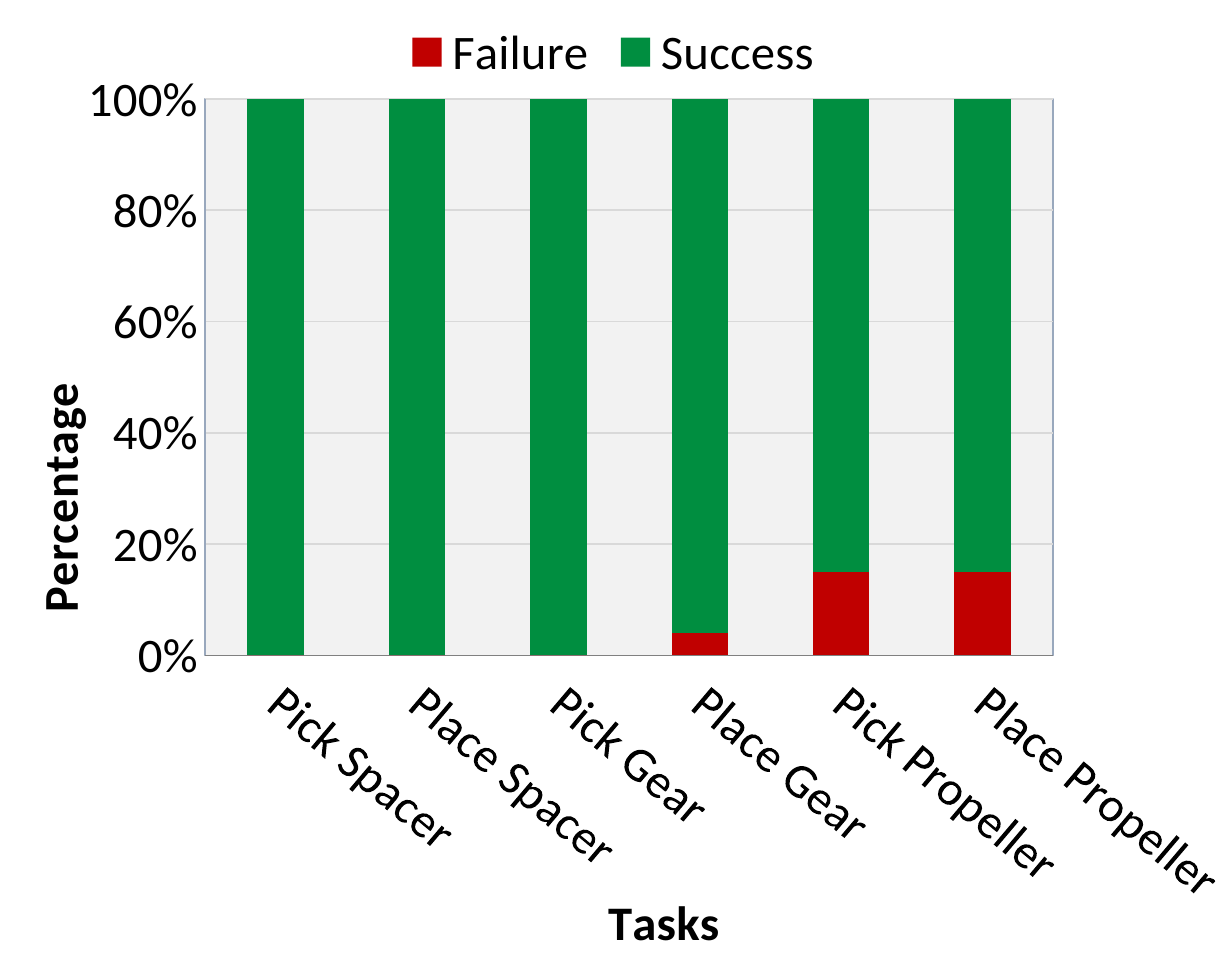
from lxml import etree
from pptx import Presentation
from pptx.chart.data import CategoryChartData as Data
from pptx.dml.color import RGBColor as RGB
from pptx.enum.chart import XL_CHART_TYPE as Kind, XL_LEGEND_POSITION as Spot
from pptx.enum.chart import XL_TICK_LABEL_POSITION as Label, XL_TICK_MARK as Tick
from pptx.oxml import parse_xml
from pptx.oxml.ns import nsdecls, qn
from pptx.util import Inches, Pt

HUES = {
    "text": "000000", "base": "808080", "edge": "99A8BD", "grid": "D9D9D9",
    "plot": "F2F2F2", "Failure": "C00000", "Success": "008E40",
}
WIDE, HIGH = 7, 5.5


def place(node, slot, x, y, w=None, h=None):
    for old in node.findall(qn("c:layout")):
        node.remove(old)
    lay = etree.Element(qn("c:layout"))
    box = etree.SubElement(lay, qn("c:manualLayout"))
    parts = [("xMode", "edge"), ("yMode", "edge"), ("x", x / WIDE), ("y", y / HIGH)]
    if w:
        parts = [("layoutTarget", "inner")] + parts + [("w", w / WIDE), ("h", h / HIGH)]
    for tag, val in parts:
        etree.SubElement(box, qn("c:" + tag)).set("val", str(val))
    node.insert(slot, lay)


def title(text, axis, x, y, size=20, bold=True, hue="text", face="Calibri"):
    head = axis.axis_title
    run = head.text_frame.paragraphs[0].add_run()
    run.text = text
    font = run.font
    font.size, font.bold, font.name = Pt(size), bold, face
    font.color.rgb = RGB.from_string(HUES[hue])
    place(head._element, 1, x, y)


deck = Presentation()
deck.slide_width, deck.slide_height = Inches(WIDE), Inches(HIGH)
slide = deck.slides.add_slide(deck.slide_layouts[6])

fails = [0, 0, 0, 0.04, 0.15, 0.15]
data = Data(number_format="0%")
data.categories = [f"{act} {part}" for part in ("Spacer", "Gear", "Propeller")
                   for act in ("Pick", "Place")]
data.add_series("Failure", fails)
data.add_series("Success", [round(1 - val, 2) for val in fails])
chart = slide.shapes.add_chart(
    Kind.COLUMN_STACKED, 0, 0, Inches(WIDE), Inches(HIGH), data).chart
chart.has_title = False
chart.font.size, chart.font.name = Pt(20), "Calibri"
chart.font.color.rgb = RGB.from_string(HUES["text"])

chart.has_legend = True
chart.legend.position = Spot.TOP
chart.legend.include_in_layout = False

bars = chart.plots[0]
bars.gap_width, bars.overlap, bars.vary_by_categories = 150, 100, False
for row in bars.series:
    row.format.fill.solid()
    row.format.fill.fore_color.rgb = RGB.from_string(HUES[row.name])

tasks, rate = chart.category_axis, chart.value_axis
rate.minimum_scale, rate.maximum_scale, rate.major_unit = 0, 1, 0.2
rate.has_major_gridlines = True
for line, hue in ((tasks.format.line, "base"), (rate.format.line, "edge"),
                  (rate.major_gridlines.format.line, "grid")):
    line.width = Pt(0.75)
    line.color.rgb = RGB.from_string(HUES[hue])
for axis in (tasks, rate):
    axis.major_tick_mark = axis.minor_tick_mark = Tick.NONE
    axis.tick_labels.font.size = Pt(20)
    axis.tick_labels.font.name = "Calibri"
    axis.tick_labels.font.color.rgb = RGB.from_string(HUES["text"])
rate.tick_labels.number_format = "0%"
rate.tick_labels.number_format_is_linked = False
tasks.tick_label_position = Label.LOW
tasks._element.find(qn("c:txPr")).find(qn("a:bodyPr")).set("rot", "2400000")

title("Tasks", tasks, 3.42, 5.07)
title("Percentage", rate, 0.09, 2.17)
turn = rate.axis_title.text_frame._txBody.find(qn("a:bodyPr"))
turn.set("rot", "-5400000")
turn.set("vert", "horz")

area = bars._element.getparent()
place(area, 0, 1.17, 0.57, 4.84, 3.21)
area.append(parse_xml(
    f'<c:spPr {nsdecls("c", "a")}>'
    f'<a:solidFill><a:srgbClr val="{HUES["plot"]}"/></a:solidFill>'
    f'<a:ln w="{Pt(0.75)}"><a:solidFill><a:srgbClr val="{HUES["edge"]}"/>'
    '</a:solidFill></a:ln></c:spPr>'))

deck.save("out.pptx")
